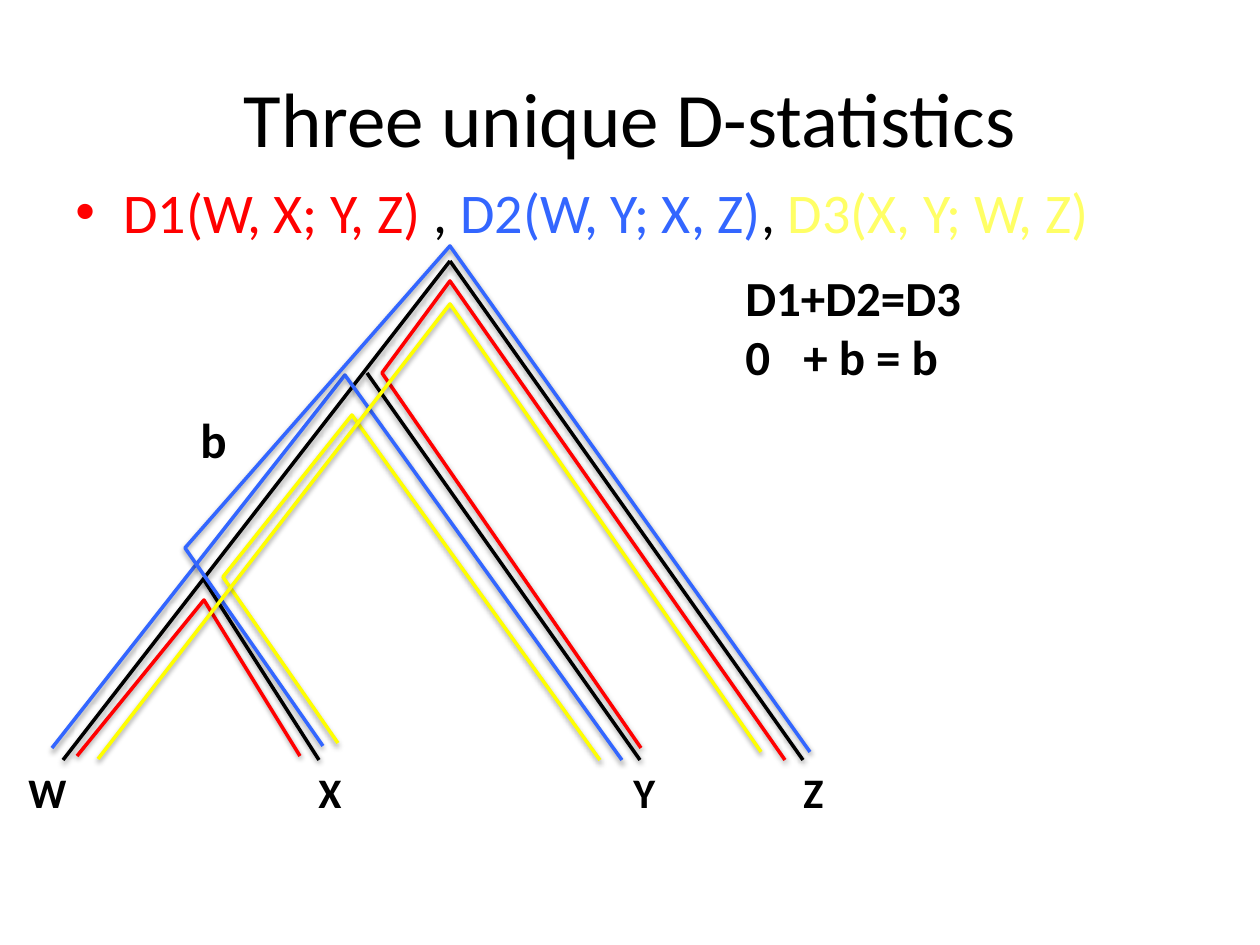
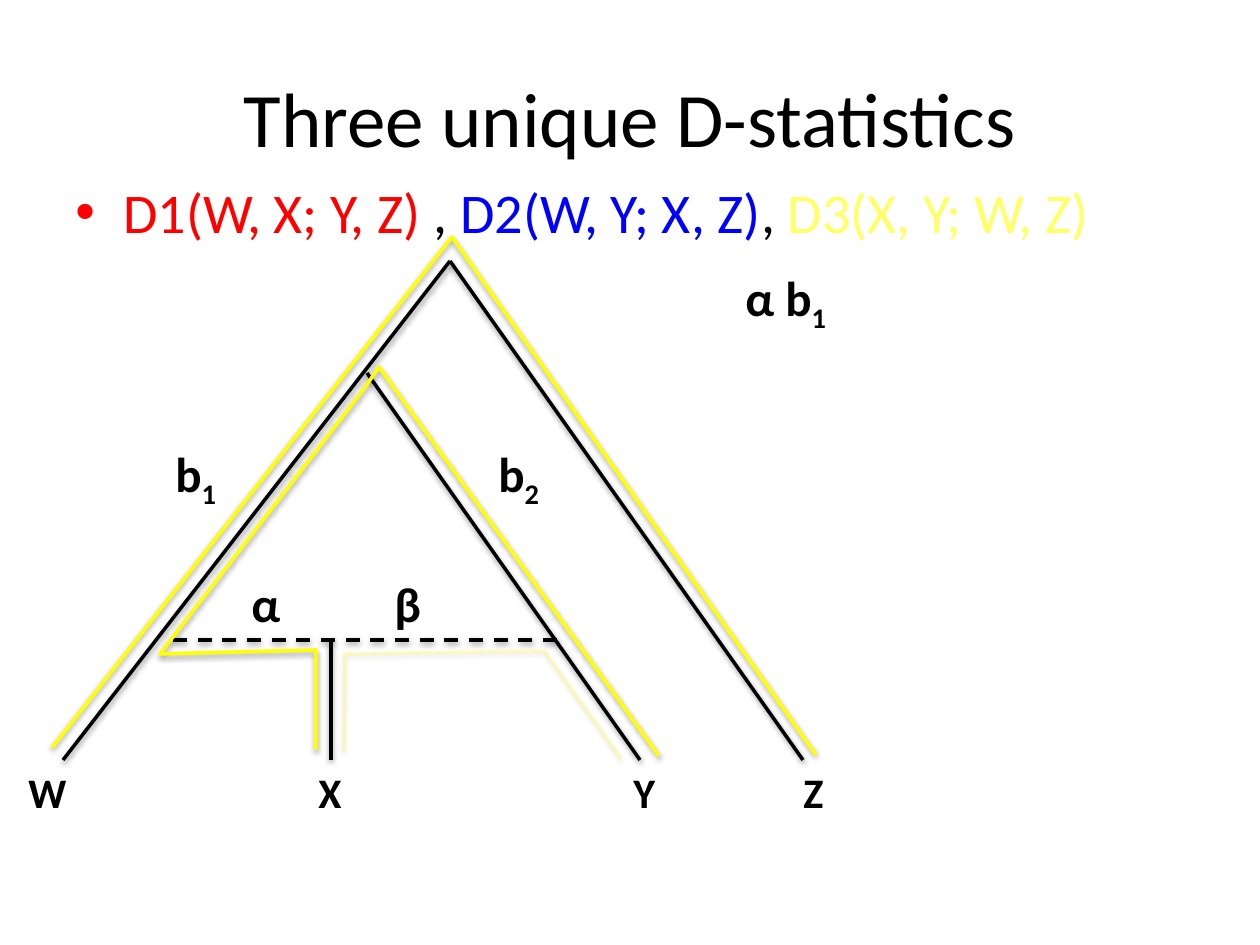
from dataclasses import dataclass

import lxml.etree
import pptx
import pptx.dml.color
import pptx.enum.dml
import pptx.enum.shapes
import pptx.enum.text
import pptx.oxml.ns
import pptx.util

PX = 914400 / 126
FONT = "Calibri"
BLACK, RED, SKY, BLUE = "000000", "FF0000", "3366FF", "0000FF"
YELLOW, LEMON = "FFFF00", "FFFF66"
ROOT, TIP_W, TIP_Z = (450, 261), (63, 760), (803, 760)
SPLIT_Y, TIP_Y = (367, 373), (640, 760)
TIP_TABS = (290, 605, 775)
SUM_TABS = (58,)

Point = tuple[int, int]


@dataclass(frozen=True)
class Span:
    text: str
    color: str = BLACK
    subscript: bool = False


@dataclass(frozen=True)
class Label:
    left: int
    top: int
    lines: tuple[tuple[Span, ...], ...]
    width: int = 69
    height: int = 72
    size: int = 28
    bold: bool = True
    tabs: tuple[int, ...] = ()
    bullet: bool = False
    title: bool = False


@dataclass(frozen=True)
class Branch:
    start: Point
    end: Point
    dashed: bool = False


@dataclass(frozen=True)
class Route:
    color: str
    points: tuple[Point, ...]
    opacity: int = 100


@dataclass(frozen=True)
class Tree:
    second_color: str
    branches: tuple[Branch, ...]
    routes: tuple[Route, ...]
    labels: tuple[Label, ...]


def px(length: float) -> pptx.util.Emu:
    """Turn pixels into EMU."""
    return pptx.util.Emu(round(length * PX))


def rgb(color: str) -> pptx.dml.color.RGBColor:
    """Turn a hex string into a colour."""
    return pptx.dml.color.RGBColor.from_string(color)


def add_child(parent, tag: str, **attributes):
    """Append a DrawingML element with its attributes."""
    values = {name: str(value) for name, value in attributes.items()}
    return lxml.etree.SubElement(parent, pptx.oxml.ns.qn(tag), values)


def style_line(shape, color: str) -> None:
    """Give a line its colour, width and soft shadow."""
    shape.line.color.rgb = rgb(color)
    shape.line.width = pptx.util.Pt(2)
    effects = add_child(shape._element.spPr, "a:effectLst")
    shadow = add_child(effects, "a:outerShdw", blurRad=40000, dist=20000,
                       dir=5400000, rotWithShape=0)
    shade = add_child(shadow, "a:srgbClr", val=BLACK)
    add_child(shade, "a:alpha", val=38000)


def draw_branch(page, branch: Branch) -> None:
    """Draw one branch of the black tree."""
    line = page.shapes.add_connector(
        pptx.enum.shapes.MSO_CONNECTOR.STRAIGHT,
        *map(px, branch.start + branch.end))
    if branch.dashed:
        line.line.dash_style = pptx.enum.dml.MSO_LINE.DASH
    style_line(line, BRANCH_COLOR)


BRANCH_COLOR = BLACK


def draw_route(page, route: Route) -> None:
    """Draw one open coloured route along the tree."""
    builder = page.shapes.build_freeform(*route.points[0], scale=PX)
    builder.add_line_segments(route.points[1:], close=False)
    shape = builder.convert_to_shape()
    shape.fill.background()
    style_line(shape, route.color)
    if route.opacity < 100:
        ink = shape.line._ln.find(".//" + pptx.oxml.ns.qn("a:srgbClr"))
        add_child(ink, "a:alpha", val=route.opacity * 1000)


def format_paragraph(para, label: Label) -> None:
    """Set the bullet, tab stops and alignment of a paragraph."""
    if label.title:
        para.alignment = pptx.enum.text.PP_ALIGN.CENTER
    properties = para._p.get_or_add_pPr()
    if label.bullet:
        properties.set("marL", str(px(48)))
        properties.set("indent", str(px(-48)))
        before = add_child(properties, "a:spcBef")
        add_child(before, "a:spcPct", val=20000)
        add_child(properties, "a:buFont", typeface="Arial")
        add_child(properties, "a:buChar", char="•")
    if label.tabs:
        stops = add_child(properties, "a:tabLst")
        for stop in label.tabs:
            add_child(stops, "a:tab", pos=px(stop), algn="l")


def draw_label(page, label: Label) -> None:
    """Draw a text box, run by run."""
    box = page.shapes.add_textbox(
        *map(px, (label.left, label.top, label.width, label.height)))
    frame = box.text_frame
    frame.word_wrap = True
    if label.title:
        frame.vertical_anchor = pptx.enum.text.MSO_ANCHOR.MIDDLE
    for index, line in enumerate(label.lines):
        para = frame.add_paragraph() if index else frame.paragraphs[0]
        format_paragraph(para, label)
        for span in line:
            run = para.add_run()
            run.text = span.text
            run.font.name = FONT
            run.font.size = pptx.util.Pt(label.size)
            run.font.bold = label.bold
            run.font.color.rgb = rgb(span.color)
            if span.subscript:
                run._r.get_or_add_rPr().set("baseline", "-25000")


def indexed(name: str, index: str) -> tuple[tuple[Span, ...], ...]:
    """Return one line with a name and its subscript."""
    return ((Span(name), Span(index, subscript=True)),)


def plain(*lines: str) -> tuple[tuple[Span, ...], ...]:
    """Return lines of one black span each."""
    return tuple((Span(line),) for line in lines)


def draw_tree(deck, tree: Tree) -> None:
    """Add a page with the shared heading, tree and tips, and its own parts."""
    page = deck.slides.add_slide(deck.slide_layouts[6])
    statistics = (Span("D1(W, X; Y, Z) ", RED), Span(", "),
                  Span("D2(W, Y; X, Z)", tree.second_color), Span(", "),
                  Span("D3(X, Y; W, Z)", LEMON))
    draw_label(page, Label(63, 38, plain("Three unique D-statistics"),
                           1134, 158, size=44, bold=False, title=True))
    draw_label(page, Label(63, 171, (statistics,), 1134, 624,
                           size=32, bold=False, bullet=True))
    for branch in SHARED_BRANCHES + tree.branches:
        draw_branch(page, branch)
    draw_label(page, Label(16, 760, plain("W\tX\tY\tZ"), 915, 63,
                           size=24, tabs=TIP_TABS))
    for route in tree.routes:
        draw_route(page, route)
    for label in tree.labels:
        draw_label(page, label)


SHARED_BRANCHES = (Branch(ROOT, TIP_W), Branch(ROOT, TIP_Z),
                   Branch(SPLIT_Y, TIP_Y))

TREES = (
    Tree(
        SKY,
        (Branch((204, 580), (319, 760)),),
        (
            Route(RED, ((77, 756), (204, 600), (300, 756))),
            Route(RED, ((641, 748), (382, 373), (450, 281), (785, 760))),
            Route(SKY, ((52, 748), (345, 375), (622, 760))),
            Route(SKY, ((323, 746), (185, 548), (450, 246), (810, 752))),
            Route(YELLOW, ((338, 743), (223, 577), (352, 415), (600, 760))),
            Route(YELLOW, ((98, 759), (450, 304), (761, 752))),
        ),
        (
            Label(733, 261, plain("D1+D2=D3", "0\t+ b = b"), 392, 171,
                  tabs=SUM_TABS),
            Label(188, 403, plain("b")),
        ),
    ),
    Tree(
        BLUE,
        (Branch((331, 640), (331, 760)),
         Branch((557, 640), (163, 640), dashed=True)),
        (
            Route(YELLOW, ((344, 752), (345, 654), (544, 651), (621, 759)),
                  opacity=22),
            Route(YELLOW, ((316, 750), (316, 650), (160, 654), (364, 389),
                           (379, 367), (659, 756))),
            Route(YELLOW, ((52, 748), (452, 237), (816, 755))),
        ),
        (
            Label(163, 437, indexed("b", "1")),
            Label(486, 437, indexed("b", "2")),
            Label(239, 567, plain("α")),
            Label(382, 567, plain("β")),
            Label(733, 261, indexed("α b", "1"), 360),
        ),
    ),
)


def main() -> None:
    """Build and save the deck."""
    deck = pptx.Presentation()
    deck.slide_width, deck.slide_height = px(1260), px(945)
    for tree in TREES:
        draw_tree(deck, tree)
    deck.save("out.pptx")


if __name__ == "__main__":
    main()
